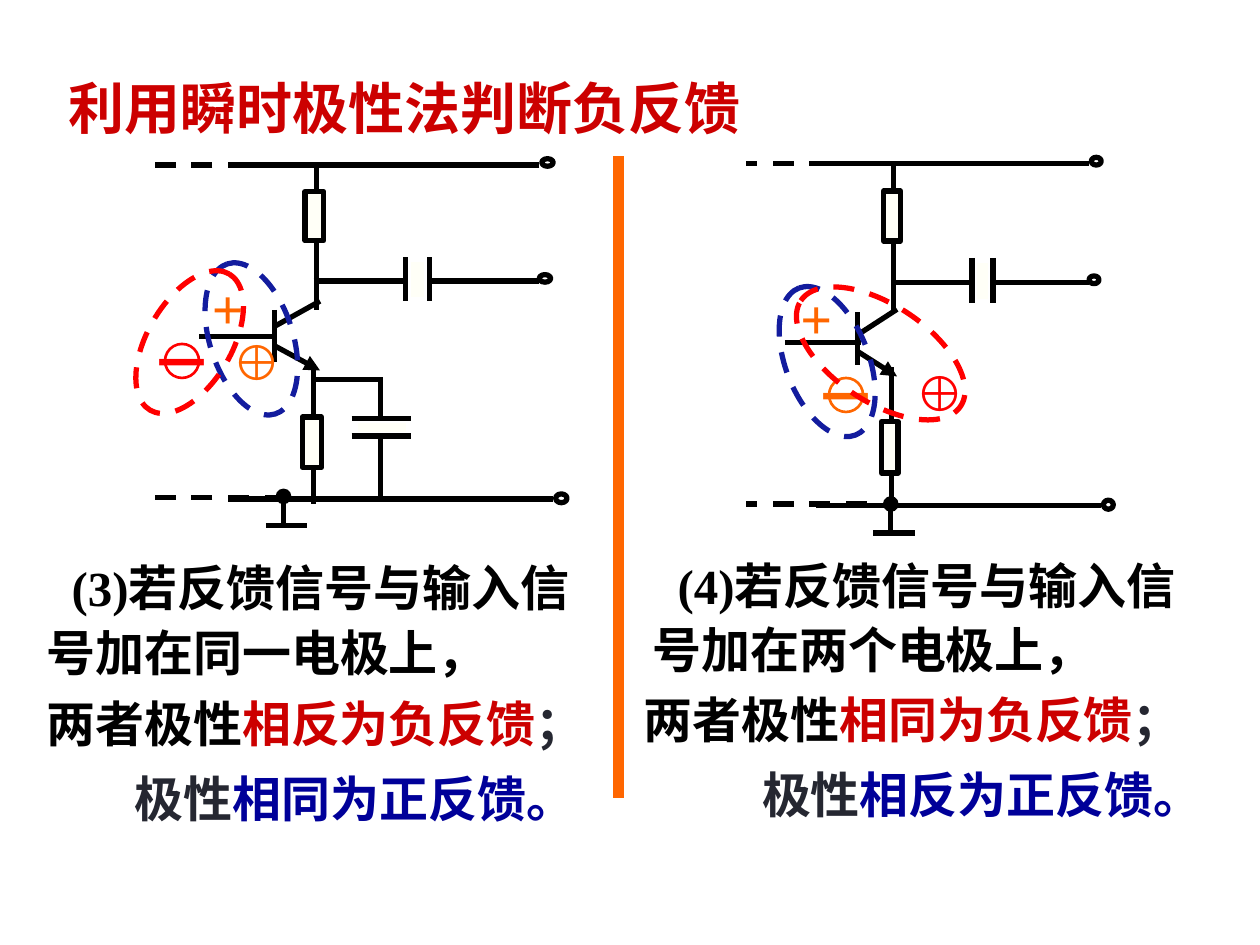
"""Build the slide on judging negative feedback by instant polarity."""
from dataclasses import dataclass
from typing import NamedTuple

from lxml.etree import SubElement
from pptx import Presentation
from pptx.dml.color import RGBColor
from pptx.enum.dml import MSO_LINE
from pptx.enum.shapes import MSO_CONNECTOR, MSO_SHAPE
from pptx.enum.text import MSO_ANCHOR, PP_ALIGN
from pptx.oxml.ns import qn
from pptx.util import Inches, Pt

BLACK, WHITE, CREAM = "000000", "FFFFFF", "FFFFF7"
CRIMSON, RED, ORANGE = "CC0000", "FF0000", "FF6600"
NAVY, BLUE, SLATE = "000099", "131C9E", "252731"


class Wire(NamedTuple):
    x1: float
    y1: float
    x2: float
    y2: float
    drop: float = 0
    dash: bool = False
    tail: str = ""


class Box(NamedTuple):
    x: float
    y: float
    w: float
    h: float


class Run(NamedTuple):
    text: str
    color: str = BLACK


class Text(NamedTuple):
    box: Box
    runs: list[Run]
    indent: float = 0


class Loop(NamedTuple):
    box: Box
    turn: float
    color: str


@dataclass
class Side:
    left: float
    top: float
    wide: float
    tall: float
    drop: float
    lead: Wire
    ground: tuple[float, float]
    bypass: bool

    def at(self, x: float, y: float) -> tuple[float, float]:
        return (self.left + (x - 1.81) * self.wide,
                self.top + (y - 1.31) * self.tall)


WIRES = [
    Wire(2.18, 2.46, 2.18, 2.87),
    Wire(2.18, 2.59, 2.54, 2.39, drop=0.05),
    Wire(2.19, 2.75, 2.54, 2.94, drop=0.02, tail="triangle"),
    Wire(2.49, 2.89, 2.49, 4),
    Wire(2.51, 2.46, 2.51, 1.31),
    Wire(2.49, 2.23, 4.28, 2.23),
    Wire(4.39, 3.96, 1.81, 3.96),
    Wire(4.28, 1.31, 1.81, 1.31),
    Wire(2.27, 1.31, 1.17, 1.31, dash=True),
    Wire(2.27, 3.95, 1.17, 3.95, dash=True),
]
PLATES = [Wire(x, 2.04, x, 2.39) for x in (3.22, 3.41)]
BYPASS = [Wire(2.79, y, 3.26, y) for y in (3.46, 3.32)] + [
    Wire(2.49, 3.01, 3.04, 3.01),
    Wire(3.02, 3.01, 3.02, 3.33),
    Wire(3.02, 3.46, 3.02, 3.96),
]
ENDS = [Box(4.3, 1.26, 0.09, 0.06), Box(4.28, 2.18, 0.09, 0.06),
        Box(4.41, 3.92, 0.09, 0.07)]
LOADS = [Box(2.42, 1.52, 0.15, 0.39), Box(2.4, 3.31, 0.15, 0.4)]
SIDES = [
    Side(1.81, 1.31, 1, 1, 0, Wire(1.58, 2.67, 2.2, 2.67), (2.25, 3.94), True),
    Side(6.48, 1.3, 0.876, 1.023, 1, Wire(6.23, 2.72, 6.83, 2.72),
         (7.07, 4), False),
]
LOOPS = [
    Loop(Box(1.37, 2.36, 1.25, 0.66), 72.3, BLUE),
    Loop(Box(0.88, 2.38, 1.25, 0.67), 120.1, RED),
    Loop(Box(5.94, 2.54, 1.25, 0.66), 69, BLUE),
    Loop(Box(6.23, 2.42, 1.52, 0.77), 33.4, RED),
]
TEXTS = [
    Text(Box(0.27, 4.33, 4.58, 1.13),
         [Run("(3)若反馈信号与输入信号加在同一电极上，")], 0.2),
    Text(Box(5.08, 4.31, 4.67, 1.13),
         [Run("(4)若反馈信号与输入信号加在两个电极上，")], 0.2),
    Text(Box(0.27, 5.41, 4.58, 0.61),
         [Run("两者极性"), Run("相反为负反馈", CRIMSON), Run("；", SLATE)]),
    Text(Box(0.27, 6, 4.58, 0.61),
         [Run("极性", SLATE), Run("相同为正反馈。", NAVY)], 0.7),
    Text(Box(4.83, 5.38, 5.08, 0.61),
         [Run("两者极性"), Run("相同为负反馈", CRIMSON), Run("；", SLATE)], 0.18),
    Text(Box(5.25, 5.97, 4.67, 0.61),
         [Run("极性", SLATE), Run("相反为正反馈。", NAVY)], 0.7),
]


def paint(color: str) -> RGBColor:
    return RGBColor.from_string(color)


def draw_wire(shapes, wire: Wire, color=BLACK, width=3.0, head="") -> None:
    ends = [Inches(v) for v in wire[:4]]
    line = shapes.add_connector(MSO_CONNECTOR.STRAIGHT, *ends)
    line.line.color.rgb = paint(color)
    line.line.width = Pt(width)
    if wire.dash:
        line.line.dash_style = MSO_LINE.DASH
    for tag, kind in (("a:headEnd", head), ("a:tailEnd", wire.tail)):
        if kind:
            SubElement(line.line._get_or_add_ln(), qn(tag), type=kind)
    SubElement(line._element.spPr, qn("a:effectLst"))


def draw_shape(shapes, kind, box: Box, color=BLACK, fill="", width=3.0):
    shape = shapes.add_shape(kind, *[Inches(v) for v in box])
    shape.shadow.inherit = False
    shape.line.color.rgb = paint(color)
    shape.line.width = Pt(width)
    if fill:
        shape.fill.solid()
        shape.fill.fore_color.rgb = paint(fill)
    else:
        shape.fill.background()
    return shape


def add_run(para, run: Run, size: float, italic: bool = False) -> None:
    part = para.add_run()
    part.text = run.text
    font = part.font
    font.size, font.bold, font.italic = Pt(size), True, italic
    font.color.rgb = paint(run.color)
    font.name = "Times New Roman"
    SubElement(font._element, qn("a:ea"), typeface="Noto Sans CJK SC")


def draw_side(slide, side: Side) -> None:
    shapes = slide.shapes.add_group_shape().shapes

    def scale(box: Box) -> Box:
        return Box(*side.at(box.x, box.y), box.w * side.wide, box.h * side.tall)

    def wire_up(wires: list[Wire]) -> None:
        for wire in wires:
            (x1, y1), (x2, y2) = side.at(*wire[:2]), side.at(*wire[2:4])
            drop = wire.drop * side.drop
            draw_wire(shapes, wire._replace(
                x1=x1, y1=y1 + drop, x2=x2, y2=y2 + drop))

    wire_up(WIRES)
    for box in ENDS:
        draw_shape(shapes, MSO_SHAPE.OVAL, scale(box))
    for box in LOADS:
        draw_shape(shapes, MSO_SHAPE.RECTANGLE, scale(box), fill=CREAM)
    gaps = [Box(3.24, 2.06, 0.15, 0.32)]
    if side.bypass:
        gaps.append(Box(2.82, 3.34, 0.42, 0.11))
    for box in gaps:
        draw_shape(shapes, MSO_SHAPE.RECTANGLE, scale(box), WHITE, CREAM)
    wire_up(PLATES + (BYPASS if side.bypass else []))
    draw_wire(shapes, side.lead)
    x, y = side.ground
    draw_wire(shapes, Wire(x, y, x, y + 0.25), head="oval")
    draw_wire(shapes, Wire(x - 0.14, y + 0.23, x + 0.19, y + 0.23))


def draw_text(slide, text: Text, size=28.0, gap=1.1, italic=False) -> None:
    frame = slide.shapes.add_textbox(*[Inches(v) for v in text.box]).text_frame
    frame.word_wrap = True
    para = frame.paragraphs[0]
    para.line_spacing = gap
    para._p.get_or_add_pPr().set("indent", str(Inches(text.indent)))
    for run in text.runs:
        add_run(para, run, size, italic)


def draw_minus(slide, x: float, y: float, color: str) -> None:
    ring = draw_shape(slide.shapes, MSO_SHAPE.OVAL, Box(x, y, 0.27, 0.27),
                      color, width=1.5)
    frame = ring.text_frame
    frame.word_wrap = False
    frame.vertical_anchor = MSO_ANCHOR.MIDDLE
    frame.paragraphs[0].alignment = PP_ALIGN.CENTER
    add_run(frame.paragraphs[0], Run("－", color), 36)


def main() -> None:
    deck = Presentation()
    deck.slide_width, deck.slide_height = Inches(10), Inches(7.5)
    slide = deck.slides.add_slide(deck.slide_layouts[5])
    title = slide.shapes.title
    title.left, title.top = Inches(0.44), Inches(0.53)
    title.width, title.height = Inches(7.83), Inches(0.64)
    title.text_frame.vertical_anchor = MSO_ANCHOR.TOP
    para = title.text_frame.paragraphs[0]
    para.alignment = PP_ALIGN.LEFT
    add_run(para, Run("利用瞬时极性法判断负反馈", CRIMSON), 32)
    draw_wire(slide.shapes, Wire(4.91, 1.24, 4.91, 6.33), ORANGE, 6)
    for side in SIDES:
        draw_side(slide, side)
    for x, y in ((1.58, 2.12), (6.25, 2.2)):
        draw_text(slide, Text(Box(x, y, 0.58, 0.63), [Run("+", ORANGE)]),
                  32, 1, True)
    draw_minus(slide, 1.31, 2.73, RED)
    draw_minus(slide, 6.58, 3, ORANGE)
    for x, y, color in ((1.75, 2.58, ORANGE), (7.17, 2.83, RED)):
        draw_text(slide, Text(Box(x, y, 0.52, 0.57), [Run("⊕", color)]), gap=1)
    for loop in LOOPS:
        oval = draw_shape(slide.shapes, MSO_SHAPE.OVAL, loop.box, loop.color)
        oval.rotation = loop.turn
        oval.line.dash_style = MSO_LINE.DASH
    for text in TEXTS:
        draw_text(slide, text)
    deck.save("out.pptx")


if __name__ == "__main__":
    main()
